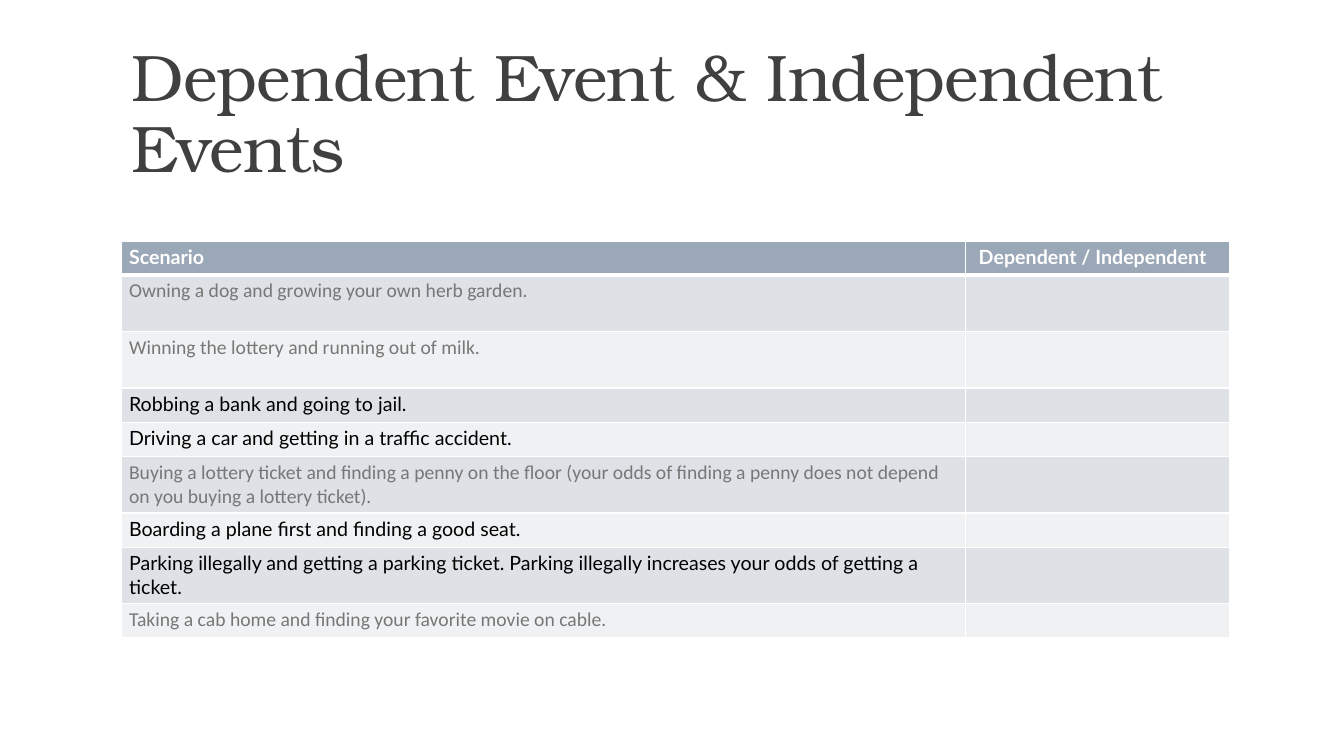
from dataclasses import dataclass

from lxml import etree
from pptx import Presentation
from pptx.dml.color import RGBColor
from pptx.enum.text import MSO_ANCHOR, MSO_AUTO_SIZE, PP_ALIGN
from pptx.oxml.ns import qn
from pptx.slide import Slide
from pptx.table import _Cell
from pptx.util import Inches, Pt

BOTTOM = MSO_ANCHOR.BOTTOM
LEFT = PP_ALIGN.LEFT
NO_AUTOFIT = MSO_AUTO_SIZE.NONE
TITLE_ONLY = 5

COLOURS = {
    "title": "404040",
    "header": "9BA8B7",
    "odd": "DEE1E6",
    "even": "EFF1F3",
    "white": "FFFFFF",
    "black": "000000",
    "grey": "777777",
}
SHORT_ROW, TALL_ROW = 0.34, 0.56
COLUMN_WIDTHS = (8.38, 2.62)
HEADINGS = ("Scenario", " Dependent / Independent")


@dataclass(frozen=True)
class Scenario:
    """A pair of events and the look of its row."""

    text: str
    grey: bool = False
    tall: bool = False


SCENARIOS = (
    Scenario("Owning a dog and growing your own herb garden.", grey=True, tall=True),
    Scenario("Winning the lottery and running out of milk.", grey=True, tall=True),
    Scenario("Robbing a bank and going to jail."),
    Scenario("Driving a car and getting in a traffic accident."),
    Scenario(
        "Buying a lottery ticket and finding a penny on the floor (your odds of "
        "finding a penny does not depend on you buying a lottery ticket).",
        grey=True,
        tall=True,
    ),
    Scenario("Boarding a plane first and finding a good seat."),
    Scenario(
        "Parking illegally and getting a parking ticket. Parking illegally "
        "increases your odds of getting a ticket.",
        tall=True,
    ),
    Scenario("Taking a cab home and finding your favorite movie on cable.", grey=True),
)


def rgb(name: str) -> RGBColor:
    """Return a named colour."""
    return RGBColor.from_string(COLOURS[name])


def add_borders(cell: _Cell, bottom: float) -> None:
    """Give a cell white borders, the bottom one of its own width."""
    properties = cell._tc.get_or_add_tcPr()
    for side, width in (("L", 1), ("R", 1), ("T", 1), ("B", bottom)):
        line = etree.SubElement(properties, qn(f"a:ln{side}"), w=str(Pt(width)))
        fill = etree.SubElement(line, qn("a:solidFill"))
        etree.SubElement(fill, qn("a:srgbClr"), val=COLOURS["white"])


def format_cell(
    cell: _Cell, text: str, fill: str, colour: str, font_name: str, header: bool = False
) -> None:
    """Write and style one table cell."""
    add_borders(cell, 3 if header else 1)
    cell.fill.solid()
    cell.fill.fore_color.rgb = rgb(fill)
    cell.margin_left = cell.margin_right = Inches(0.08)
    cell.margin_top = cell.margin_bottom = Inches(0.04)
    cell.text = text
    paragraph = cell.text_frame.paragraphs[0]
    font = paragraph.font
    font.name, font.size, font.bold = font_name, Pt(14), header
    font.color.rgb = rgb(colour)
    if not text:
        etree.SubElement(paragraph._p, qn("a:endParaRPr"), sz="1400")


def add_title(slide: Slide) -> None:
    """Place and format the slide title."""
    title = slide.shapes.title
    title.left, title.top = Inches(1.2), Inches(0.31)
    title.width, title.height = Inches(11), Inches(1.59)
    frame = title.text_frame
    frame.text = "Dependent Event & Independent Events"
    frame.word_wrap = True
    frame.auto_size = NO_AUTOFIT
    frame.vertical_anchor = BOTTOM
    paragraph = frame.paragraphs[0]
    paragraph.alignment = LEFT
    paragraph.line_spacing = 0.9
    paragraph.font.name = "TeX Gyre Bonum"
    paragraph.font.size = Pt(47)
    paragraph.font.color.rgb = rgb("title")
    paragraph.runs[0]._r.get_or_add_rPr().set("spc", "-50")


def add_scenarios(slide: Slide) -> None:
    """Add the table of scenarios with a blank answer column."""
    heights = [SHORT_ROW] + [TALL_ROW if s.tall else SHORT_ROW for s in SCENARIOS]
    table = slide.shapes.add_table(
        len(heights), len(COLUMN_WIDTHS),
        Inches(1.2), Inches(2.39), Inches(sum(COLUMN_WIDTHS)), Inches(sum(heights)),
    ).table
    for column, width in zip(table.columns, COLUMN_WIDTHS):
        column.width = Inches(width)
    for row, height in zip(table.rows, heights):
        row.height = Inches(height)
    for column, heading in enumerate(HEADINGS):
        format_cell(table.cell(0, column), heading, "header", "white", "Lato", header=True)
    for row, scenario in enumerate(SCENARIOS, start=1):
        fill = "odd" if row % 2 else "even"
        colour, font_name = ("grey", "Calibri") if scenario.grey else ("black", "Lato")
        for column, text in enumerate((scenario.text, "")):
            format_cell(table.cell(row, column), text, fill, colour, font_name)


def main() -> None:
    """Build and save the slide."""
    presentation = Presentation()
    presentation.slide_width = Inches(13.33)
    presentation.slide_height = Inches(7.5)
    slide = presentation.slides.add_slide(presentation.slide_layouts[TITLE_ONLY])
    add_title(slide)
    add_scenarios(slide)
    presentation.save("out.pptx")


if __name__ == "__main__":
    main()
